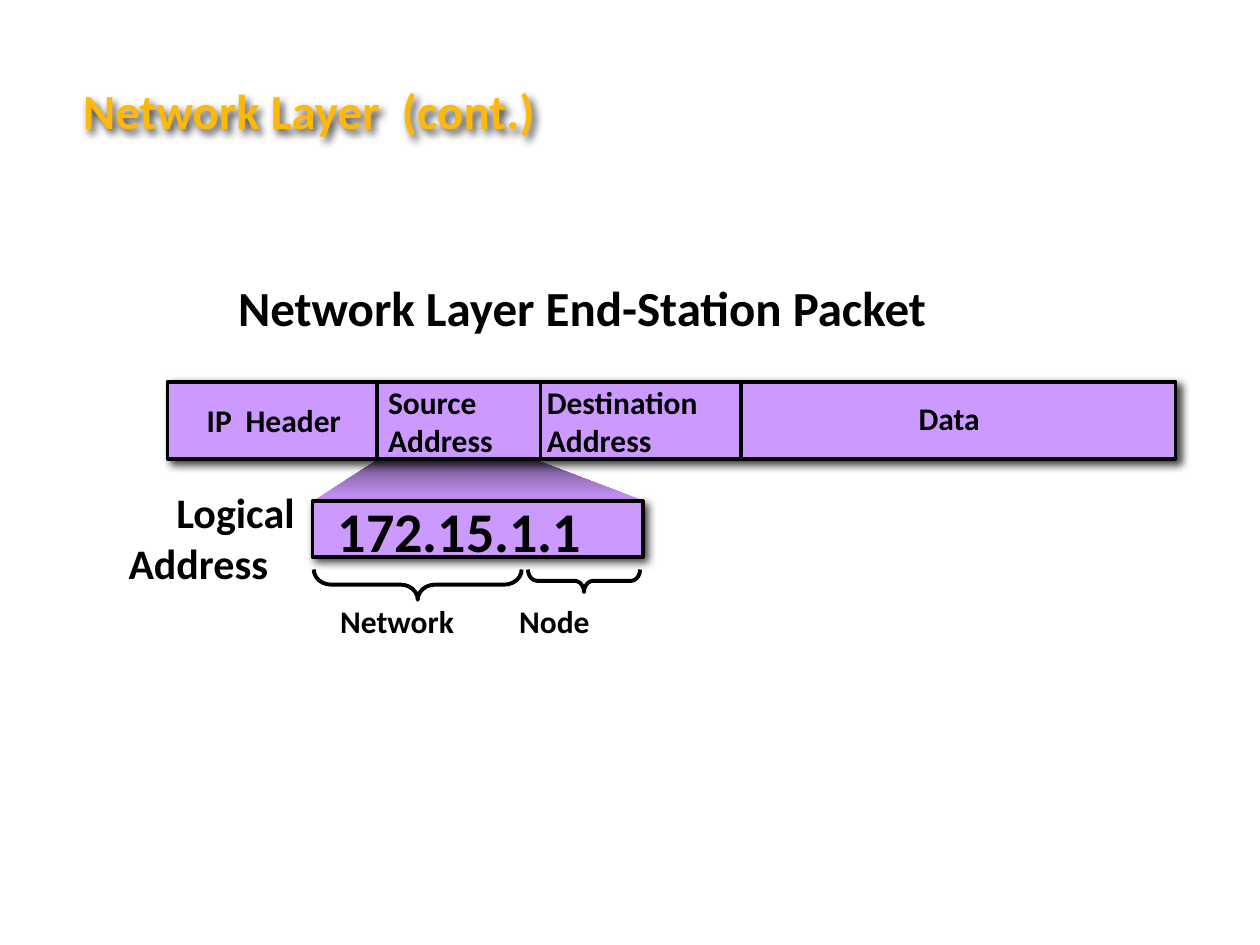
"""Builds the slide on the logical address inside a network layer packet."""
from lxml.etree import SubElement
from pptx import Presentation
from pptx.dml.color import RGBColor
from pptx.enum.shapes import MSO_CONNECTOR, MSO_SHAPE
from pptx.enum.text import MSO_ANCHOR, PP_ALIGN
from pptx.oxml.ns import qn
from pptx.util import Inches, Pt

BLACK, LILAC, PLUM, AMBER = "000000", "CC99FF", "5E4776", "FEB80A"


def color(hex_code):
    return RGBColor.from_string(hex_code)


def inches(lengths):
    return [Inches(length) for length in lengths]


class PacketSlide:
    font_name = "Calibri"
    line_width = Pt(2.25)

    def __init__(self, presentation):
        self.slide = presentation.slides.add_slide(presentation.slide_layouts[5])
        self.shapes = self.slide.shapes

    def set_text(self, frame, text, size, hex_code=BLACK, spacing=1.0, margin=0, indent=0):
        frame.word_wrap = True
        frame.vertical_anchor = MSO_ANCHOR.MIDDLE
        frame.margin_left = frame.margin_right = Inches(0.05)
        frame.margin_top = frame.margin_bottom = Inches(0.05)
        paragraph = frame.paragraphs[0]
        for number, line in enumerate(text.splitlines()):
            if number:
                paragraph.add_line_break()
            paragraph.add_run().text = line
        paragraph.alignment = PP_ALIGN.LEFT
        paragraph.line_spacing = spacing
        paragraph.font.name = self.font_name
        paragraph.font.size = Pt(size)
        paragraph.font.bold = True
        paragraph.font.color.rgb = color(hex_code)
        properties = paragraph._p.get_or_add_pPr()
        properties.set("marL", str(Inches(margin)))
        properties.set("indent", str(Inches(indent)))

    def outline(self, shape):
        shape.line.color.rgb = color(BLACK)
        shape.line.width = self.line_width

    def cast_shadow(self, shape):
        shape.shadow.inherit = False
        effects = shape._element.spPr.find(qn("a:effectLst"))
        shadow = SubElement(effects, qn("a:outerShdw"), blurRad=str(Pt(5)),
                            dist=str(Pt(2.8)), dir=str(45 * 60000), algn="ctr", rotWithShape="0")
        shade = SubElement(shadow, qn("a:srgbClr"), val=BLACK)
        SubElement(shade, qn("a:alpha"), val="75000")

    def title(self, text, box):
        heading = self.shapes.title
        heading.left, heading.top, heading.width, heading.height = inches(box)
        self.set_text(heading.text_frame, text, 28, AMBER)
        self.cast_shadow(heading)

    def label(self, text, box, size=18, **layout):
        self.set_text(self.shapes.add_textbox(*inches(box)).text_frame, text, size, **layout)

    def field(self, box):
        bar = self.shapes.add_shape(MSO_SHAPE.RECTANGLE, *inches(box))
        bar.fill.solid()
        bar.fill.fore_color.rgb = color(LILAC)
        self.outline(bar)
        self.cast_shadow(bar)

    def divider(self, x, top, bottom):
        rule = self.shapes.add_connector(MSO_CONNECTOR.STRAIGHT, *inches((x, top, x, bottom)))
        self.outline(rule)
        SubElement(rule._element.spPr, qn("a:effectLst"))

    def zoom(self, corners):
        start, *others = [inches(corner) for corner in corners]
        builder = self.shapes.build_freeform(*start)
        builder.add_line_segments(others, close=True)
        beam = builder.convert_to_shape()
        beam.fill.gradient()
        beam.fill.gradient_angle = 90
        for stop, hex_code in zip(beam.fill.gradient_stops, (LILAC, PLUM)):
            stop.color.rgb = color(hex_code)
        beam.line.fill.background()
        beam.shadow.inherit = False

    def brace(self, box, curve):
        left, top, width, depth = box
        turned = (left + (width - depth) / 2, top + (depth - width) / 2, depth, width)
        bracket = self.shapes.add_shape(MSO_SHAPE.RIGHT_BRACE, *inches(turned))
        bracket.rotation = 90
        bracket.adjustments[0] = curve
        bracket.fill.background()
        self.outline(bracket)
        bracket.shadow.inherit = False


def main():
    presentation = Presentation()
    presentation.slide_width, presentation.slide_height = Inches(10), Inches(7.5)
    packet = PacketSlide(presentation)
    packet.title("Network Layer  (cont.)", (0.61, 0.59, 8.82, 0.56))
    packet.label("Network Layer End-Station Packet", (1.84, 2.17, 6.45, 0.53), 28)

    packet.zoom([(3.06, 3.61), (2.5, 3.97), (5.09, 3.97), (4.22, 3.64)])
    packet.field((1.33, 3.03, 8, 0.61))
    for x in (2.99, 4.29, 5.88):
        packet.divider(x, 3.05, 3.63)
    for text, box in (
        ("IP", (1.59, 3.14, 0.35, 0.38)),
        ("Header", (1.9, 3.14, 0.96, 0.38)),
        ("Source\nAddress", (3.03, 3, 1.11, 0.68)),
        ("Destination\nAddress", (4.29, 3, 1.54, 0.68)),
        ("Data", (7.24, 3.13, 0.66, 0.38)),
    ):
        packet.label(text, box)

    packet.field((2.48, 3.98, 2.62, 0.44))
    packet.label("172.15.1.1", (1.99, 3.89, 3.64, 0.64), 32, margin=0.64)
    packet.label("Logical Address", (0.47, 3.83, 2.22, 0.87), 24, margin=0.5, indent=0.38)
    for text, x, span, curve in (
        ("Network", 2.65, (2.49, 4.52, 1.65, 0.24), 0.57),
        ("Node", 4.07, (4.19, 4.52, 0.89, 0.18), 0.41),
    ):
        packet.brace(span, curve)
        packet.label(text, (x, 4.76, 1.25, 0.38), spacing=0.85)
    presentation.save("out.pptx")


if __name__ == "__main__":
    main()
